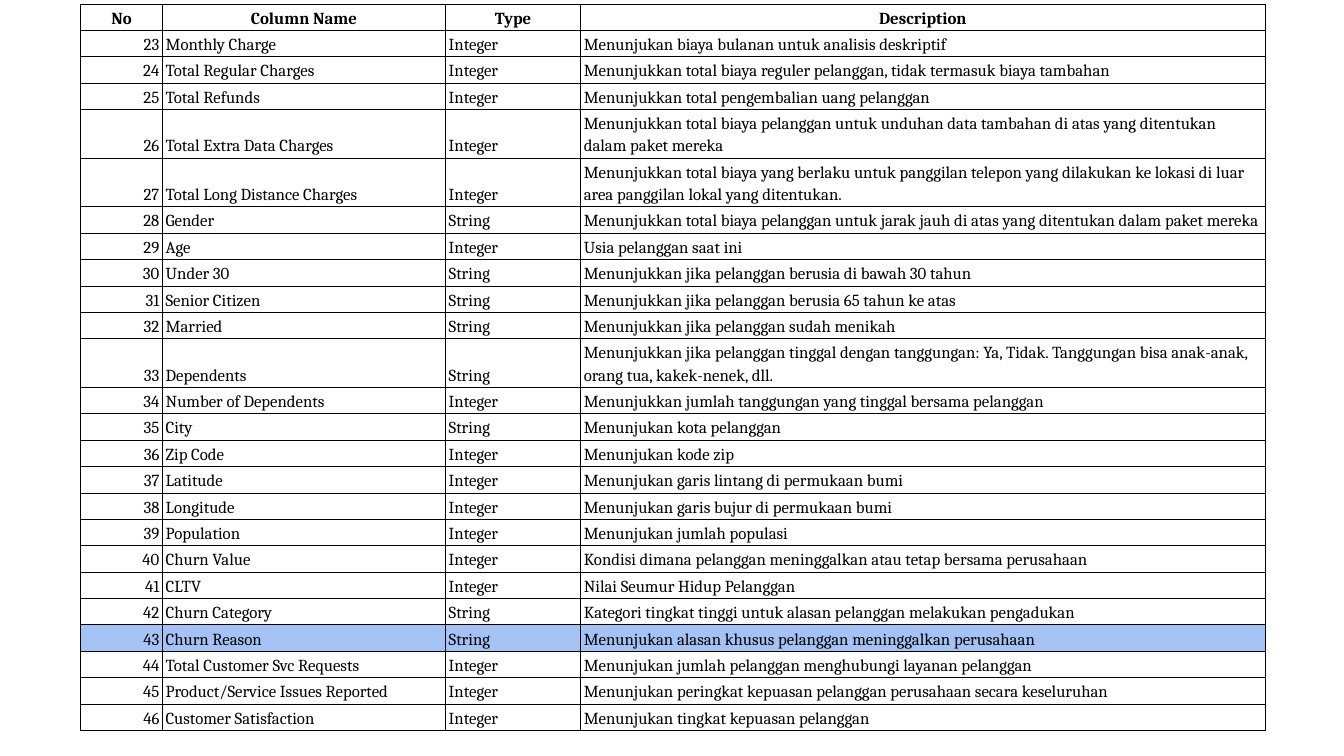
import pptx
import pptx.dml.color
import pptx.enum.text
import pptx.oxml
import pptx.oxml.ns
import pptx.util
from dataclasses import dataclass

Pt = pptx.util.Pt
RGBColor = pptx.dml.color.RGBColor
Align = pptx.enum.text.PP_ALIGN

HEADERS = ("No", "Column Name", "Type", "Description")
FIRST_NUMBER = 23
HIGHLIGHTED_NUMBER = 43
TWO_LINE_NUMBERS = {26, 27, 33}
FIELDS = [
    ("Monthly Charge", "Integer", "Menunjukan biaya bulanan untuk analisis deskriptif"),
    ("Total Regular Charges", "Integer",
     "Menunjukkan total biaya reguler pelanggan, tidak termasuk biaya tambahan"),
    ("Total Refunds", "Integer", "Menunjukkan total pengembalian uang pelanggan"),
    ("Total Extra Data Charges", "Integer",
     "Menunjukkan total biaya pelanggan untuk unduhan data tambahan di atas yang ditentukan "
     "dalam paket mereka"),
    ("Total Long Distance Charges", "Integer",
     "Menunjukkan total biaya yang berlaku untuk panggilan telepon yang dilakukan ke lokasi "
     "di luar area panggilan lokal yang ditentukan."),
    ("Gender", "String",
     "Menunjukkan total biaya pelanggan untuk jarak jauh di atas yang ditentukan "
     "dalam paket mereka"),
    ("Age", "Integer", "Usia pelanggan saat ini"),
    ("Under 30", "String", "Menunjukkan jika pelanggan berusia di bawah 30 tahun"),
    ("Senior Citizen", "String", "Menunjukkan jika pelanggan berusia 65 tahun ke atas"),
    ("Married", "String", "Menunjukkan jika pelanggan sudah menikah"),
    ("Dependents", "String",
     "Menunjukkan jika pelanggan tinggal dengan tanggungan: Ya, Tidak. Tanggungan bisa "
     "anak-anak, orang tua, kakek-nenek, dll."),
    ("Number of Dependents", "Integer",
     "Menunjukkan jumlah tanggungan yang tinggal bersama pelanggan"),
    ("City", "String", "Menunjukan kota pelanggan"),
    ("Zip Code", "Integer", "Menunjukan kode zip"),
    ("Latitude", "Integer", "Menunjukan garis lintang di permukaan bumi"),
    ("Longitude", "Integer", "Menunjukan garis bujur di permukaan bumi"),
    ("Population", "Integer", "Menunjukan jumlah populasi"),
    ("Churn Value", "Integer",
     "Kondisi dimana pelanggan meninggalkan atau tetap bersama perusahaan"),
    ("CLTV", "Integer", "Nilai Seumur Hidup Pelanggan"),
    ("Churn Category", "String",
     "Kategori tingkat tinggi untuk alasan pelanggan melakukan pengadukan"),
    ("Churn Reason", "String", "Menunjukan alasan khusus pelanggan meninggalkan perusahaan"),
    ("Total Customer Svc Requests", "Integer",
     "Menunjukan jumlah pelanggan menghubungi layanan pelanggan"),
    ("Product/Service Issues Reported", "Integer",
     "Menunjukan peringkat kepuasan pelanggan perusahaan secara keseluruhan"),
    ("Customer Satisfaction", "Integer", "Menunjukan tingkat kepuasan pelanggan"),
]

SLIDE_WIDTH, SLIDE_HEIGHT = 960, 540
TABLE_LEFT, TABLE_TOP = 57.6, 2.9
COLUMN_WIDTHS = (58.5, 202.2, 96.5, 488.9)
ROW_HEIGHT, TWO_LINE_ROW_HEIGHT = 18, 33
MARGIN_X, MARGIN_Y = 2.25, 1.5


@dataclass(frozen=True)
class Theme:
    font: str = "Cambria"
    size: float = 12
    line_spacing: float = 1.15
    border_width: float = 0.75
    ink: str = "000000"
    highlight: str = "A4C2F4"


THEME = Theme()


def add_borders(cell):
    properties = cell._tc.get_or_add_tcPr()
    for side in ("lnL", "lnR", "lnT", "lnB"):
        properties.append(pptx.oxml.parse_xml(
            f'<a:{side} {pptx.oxml.ns.nsdecls("a")} w="{Pt(THEME.border_width)}">'
            f'<a:solidFill><a:srgbClr val="{THEME.ink}"/></a:solidFill></a:{side}>'))


def format_cell(cell, text, alignment, bold, highlighted):
    cell.text = text
    cell.vertical_anchor = pptx.enum.text.MSO_ANCHOR.BOTTOM
    cell.margin_left = cell.margin_right = Pt(MARGIN_X)
    cell.margin_top = cell.margin_bottom = Pt(MARGIN_Y)
    paragraph = cell.text_frame.paragraphs[0]
    paragraph.alignment = alignment
    paragraph.line_spacing = THEME.line_spacing
    paragraph.font.name = THEME.font
    paragraph.font.size = Pt(THEME.size)
    paragraph.font.bold = bold
    paragraph.font.color.rgb = RGBColor.from_string(THEME.ink)
    add_borders(cell)
    if highlighted:
        cell.fill.solid()
        cell.fill.fore_color.rgb = RGBColor.from_string(THEME.highlight)
    else:
        cell.fill.background()


def add_field_table(slide):
    numbered_fields = [(str(number), *field)
                       for number, field in enumerate(FIELDS, FIRST_NUMBER)]
    rows = [HEADERS, *numbered_fields]
    heights = [ROW_HEIGHT] + [
        TWO_LINE_ROW_HEIGHT if int(field[0]) in TWO_LINE_NUMBERS else ROW_HEIGHT
        for field in numbered_fields]
    table = slide.shapes.add_table(
        len(rows), len(HEADERS), Pt(TABLE_LEFT), Pt(TABLE_TOP),
        Pt(sum(COLUMN_WIDTHS)), Pt(sum(heights))).table
    table.horz_banding = False
    table.first_row = True
    for column, width in zip(table.columns, COLUMN_WIDTHS):
        column.width = Pt(width)
    for row_index, (values, height) in enumerate(zip(rows, heights)):
        table.rows[row_index].height = Pt(height)
        is_header = row_index == 0
        highlighted = values[0] == str(HIGHLIGHTED_NUMBER)
        for column_index, text in enumerate(values):
            if is_header:
                alignment = Align.CENTER
            else:
                alignment = Align.RIGHT if column_index == 0 else Align.LEFT
            format_cell(table.cell(row_index, column_index), text, alignment,
                        is_header, highlighted)


def main():
    presentation = pptx.Presentation()
    presentation.slide_width = Pt(SLIDE_WIDTH)
    presentation.slide_height = Pt(SLIDE_HEIGHT)
    blank_layout = presentation.slide_layouts.get_by_name("Blank")
    add_field_table(presentation.slides.add_slide(blank_layout))
    presentation.save("out.pptx")


if __name__ == "__main__":
    main()
